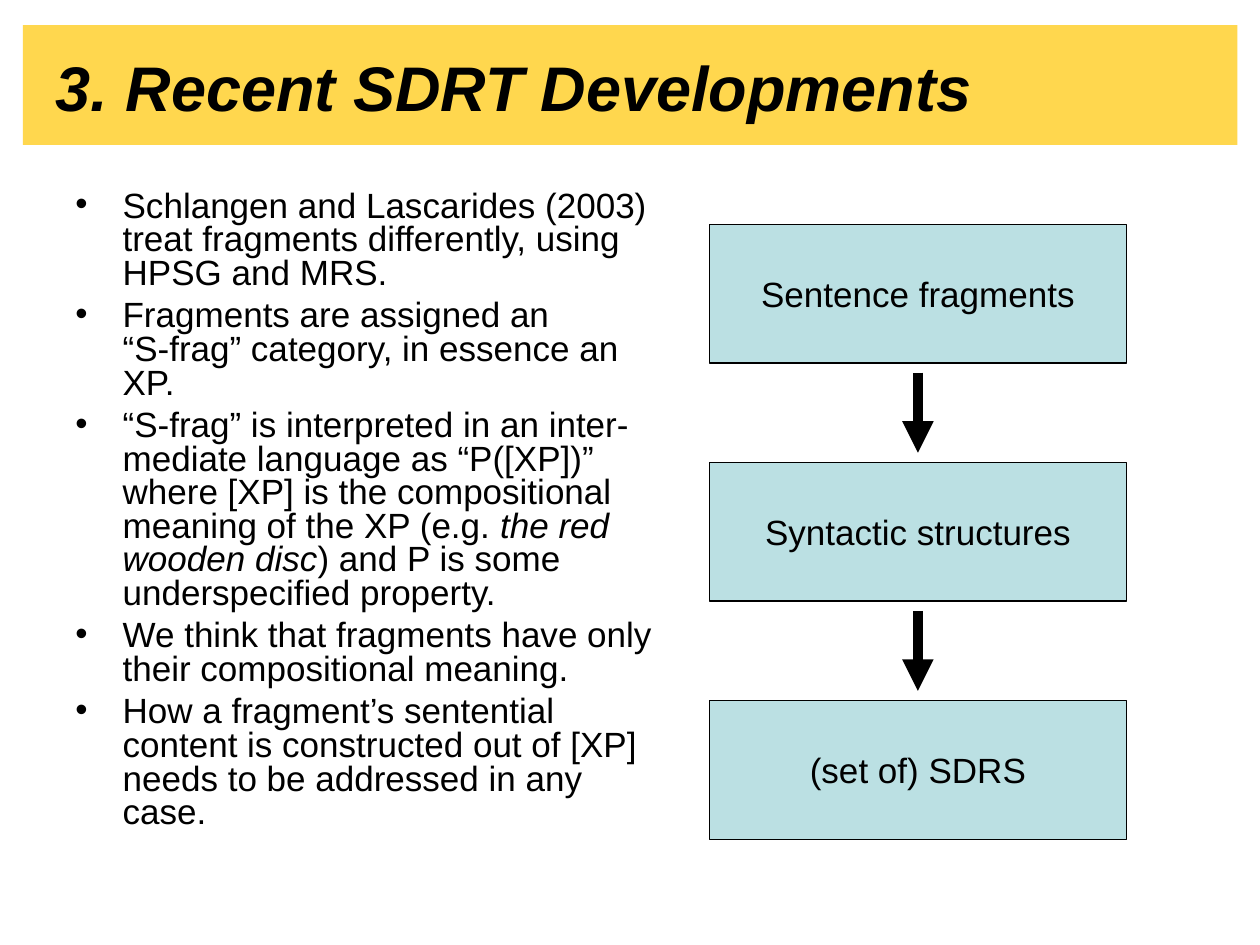
from lxml.etree import SubElement
from pptx import Presentation
from pptx.dml.color import RGBColor
from pptx.enum.shapes import MSO_CONNECTOR, MSO_SHAPE
from pptx.enum.text import MSO_ANCHOR, PP_ALIGN
from pptx.oxml.ns import qn
from pptx.util import Pt

TITLE = "3. Recent SDRT Developments"
BULLETS = [
    ["Schlangen and Lascarides (2003) treat fragments differently, using HPSG and MRS."],
    ["Fragments are assigned an \n“S-frag” category, in essence an XP."],
    ["“S-frag” is interpreted in an inter-mediate language as “P([XP])” where [XP] "
     "is the compositional meaning of the XP (e.g. ",
     "the red wooden disc",
     ") and P is some underspecified property."],
    ["We think that fragments have only their compositional meaning."],
    ["How a fragment’s sentential content is constructed out of [XP] needs to be "
     "addressed in any case."],
]
STAGES = ["Sentence fragments", "Syntactic structures", "(set of) SDRS"]

FONT = "Arial"
BLACK, YELLOW, TEAL = "000000", "FFD74E", "BBE0E3"
STAGE_LEFT, STAGE_TOP, STAGE_WIDTH, STAGE_HEIGHT = 405.4, 128.2, 238.3, 79.2
STAGE_STEP, ARROW_GAP = 136.1, 5.6


def color(value):
    return RGBColor.from_string(value)


def style(para, size):
    for span in para.runs:
        span.font.name = FONT
        span.font.size = Pt(size)
        span.font.color.rgb = color(BLACK)


def place(shape, left, top, width, height):
    shape.left, shape.top = Pt(left), Pt(top)
    shape.width, shape.height = Pt(width), Pt(height)


def add_box(page, kind, left, top, width, height, fill):
    box = page.shapes.add_shape(kind, Pt(left), Pt(top), Pt(width), Pt(height))
    box.shadow.inherit = False
    box.fill.solid()
    box.fill.fore_color.rgb = color(fill)
    return box


def add_title(page):
    title = page.shapes.title
    place(title, 19.4, 12.2, 548.6, 74.2)
    frame = title.text_frame
    frame.text = TITLE
    frame.word_wrap = True
    frame.vertical_anchor = MSO_ANCHOR.MIDDLE
    frame.margin_left = frame.margin_right = frame.margin_top = frame.margin_bottom = 0
    para = frame.paragraphs[0]
    para.alignment = PP_ALIGN.CENTER
    style(para, 36)
    para.runs[0].font.bold = para.runs[0].font.italic = True

    band = add_box(page, MSO_SHAPE.ROUNDED_RECTANGLE, 13, 14.4, 694, 68.4, YELLOW)
    band.adjustments[0] = 0
    band.line.fill.background()
    title.element.addprevious(band.element)


def add_bullets(page):
    box = page.shapes.add_textbox(Pt(36), Pt(105.8), Pt(352), Pt(388))
    frame = box.text_frame
    frame.word_wrap = True
    for index, segments in enumerate(BULLETS):
        para = frame.paragraphs[0] if index == 0 else frame.add_paragraph()
        para.text = segments[0]
        for position, segment in enumerate(segments[1:], 1):
            span = para.add_run()
            span.text = segment
            span.font.italic = position % 2 == 1
        properties = para._p.get_or_add_pPr()
        properties.set("marL", str(Pt(27)))
        properties.set("indent", str(Pt(-27)))
        SubElement(properties, qn("a:buFont"), typeface=FONT)
        SubElement(properties, qn("a:buChar"), char="•")
        para.line_spacing = 0.8
        if index:
            para.space_before = Pt(5)
        style(para, 20)


def add_stage(page, label, top):
    box = add_box(page, MSO_SHAPE.RECTANGLE, STAGE_LEFT, top, STAGE_WIDTH, STAGE_HEIGHT, TEAL)
    box.line.color.rgb = color(BLACK)
    box.line.width = Pt(0.75)
    frame = box.text_frame
    frame.text = label
    frame.word_wrap = False
    frame.vertical_anchor = MSO_ANCHOR.MIDDLE
    frame.paragraphs[0].alignment = PP_ALIGN.CENTER
    style(frame.paragraphs[0], 20)


def add_arrow(page, start, end):
    center = Pt(STAGE_LEFT + STAGE_WIDTH / 2)
    arrow = page.shapes.add_connector(MSO_CONNECTOR.STRAIGHT, center, Pt(start), center, Pt(end))
    arrow.line.color.rgb = color(BLACK)
    arrow.line.width = Pt(6)
    SubElement(arrow.line._get_or_add_ln(), qn("a:tailEnd"), type="triangle")
    SubElement(arrow.element.spPr, qn("a:effectLst"))


def main():
    deck = Presentation()
    deck.slide_width, deck.slide_height = Pt(720), Pt(540)
    page = deck.slides.add_slide(deck.slide_layouts[5])
    add_title(page)
    add_bullets(page)
    for index, label in enumerate(STAGES):
        top = STAGE_TOP + index * STAGE_STEP
        add_stage(page, label, top)
        if index:
            add_arrow(page, top - STAGE_STEP + STAGE_HEIGHT + ARROW_GAP, top - ARROW_GAP)
    deck.save("out.pptx")


if __name__ == "__main__":
    main()
